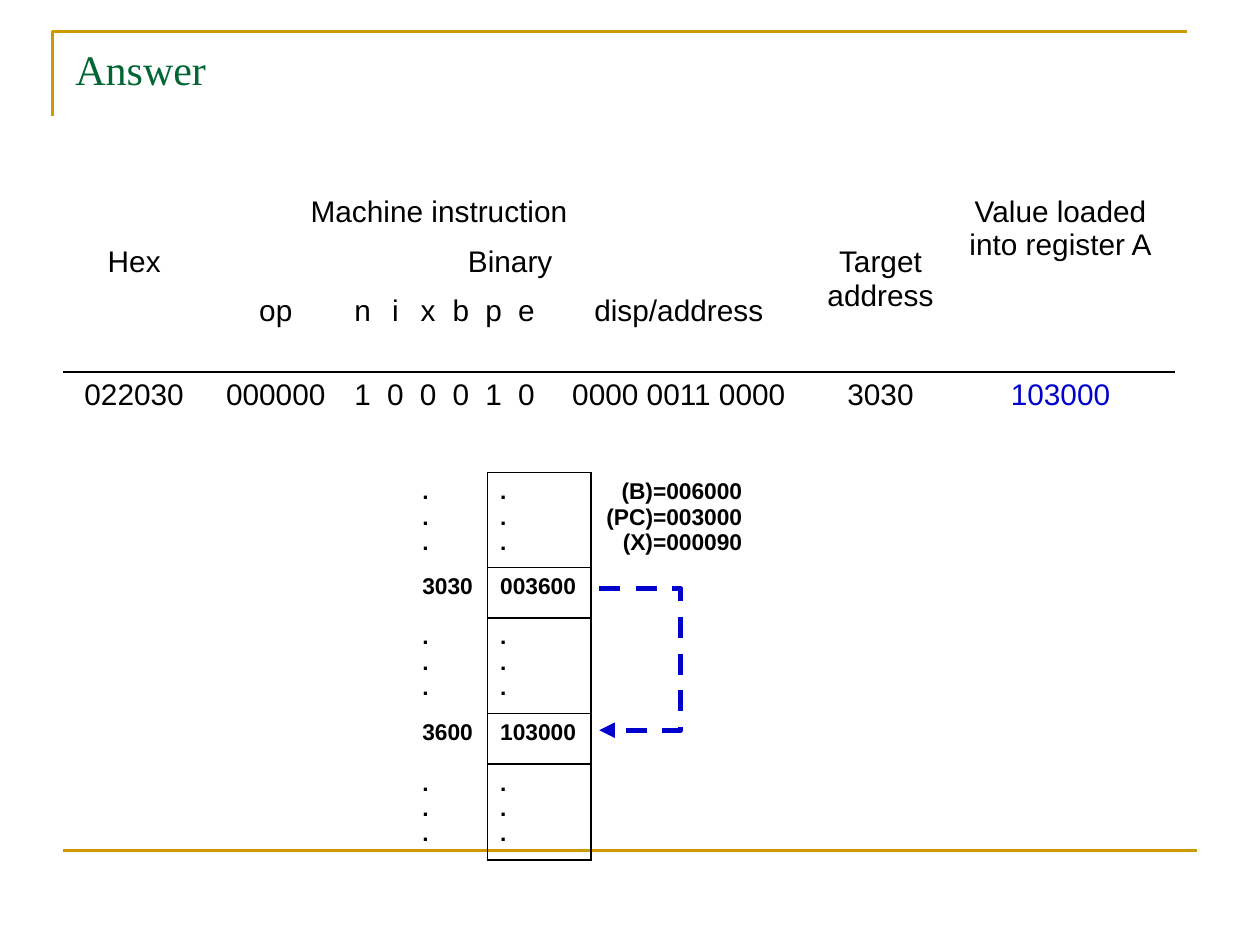
from typing import NamedTuple

from lxml import etree
from pptx import Presentation
from pptx.dml.color import RGBColor
from pptx.enum import dml, shapes, text
from pptx.oxml import ns
from pptx.util import Cm, Pt

GOLD = RGBColor(0xCC, 0x99, 0x00)
GREEN = RGBColor(0x00, 0x66, 0x33)
BLUE = RGBColor(0x00, 0x00, 0xCC)
BLACK = RGBColor(0x00, 0x00, 0x00)

PLAIN_TABLE_STYLE = "{2D5ABB26-0587-4C30-8999-92F81FD0307C}"
LEFT, CENTER, RIGHT = text.PP_ALIGN.LEFT, text.PP_ALIGN.CENTER, text.PP_ALIGN.RIGHT
DOTS = ".\n.\n."


class Entry(NamedTuple):
    row: int
    column: int
    words: str
    row_span: int = 1
    column_span: int = 1
    color: RGBColor = BLACK
    align: text.PP_ALIGN = CENTER


class Grid(NamedTuple):
    left: float
    top: float
    widths: list[float]
    heights: list[float]


def apply(target, values: dict) -> None:
    for name, value in values.items():
        setattr(target, name, value)


def add_xml(parent, tag: str, **attributes: str):
    return etree.SubElement(parent, ns.qn(tag), attributes)


def write(frame, words: str, color: RGBColor, align, font: dict) -> None:
    for index, line in enumerate(words.split("\n")):
        para = frame.add_paragraph() if index else frame.paragraphs[0]
        para.alignment = align
        span = para.add_run()
        span.text = line
        apply(span.font, font)
        span.font.color.rgb = color


def style_line(shape, color: RGBColor, width: float) -> None:
    shape.line.color.rgb = color
    shape.line.width = Pt(width)


def add_line(page, kind, start: tuple, end: tuple, color: RGBColor, width: float):
    points = [Cm(value) for value in (*start, *end)]
    line = page.shapes.add_connector(kind, *points)
    style_line(line, color, width)
    add_xml(line.element.spPr, "a:effectLst")
    return line


def add_grid(page, grid: Grid):
    frame = page.shapes.add_table(
        len(grid.heights), len(grid.widths), Cm(grid.left), Cm(grid.top),
        Cm(sum(grid.widths)), Cm(sum(grid.heights)))
    table = frame.table
    apply(table, {"first_row": False, "horz_banding": False})
    table._tbl.tblPr.find(ns.qn("a:tableStyleId")).text = PLAIN_TABLE_STYLE
    for column, width in zip(table.columns, grid.widths):
        column.width = Cm(width)
    for row, height in zip(table.rows, grid.heights):
        row.height = Cm(height)
    return table


def border(cell, sides: str, width: float = 1) -> None:
    for side in sides:
        edge = add_xml(cell._tc.get_or_add_tcPr(), f"a:ln{side}", w=str(Pt(width)))
        fill = add_xml(edge, "a:solidFill")
        add_xml(fill, "a:srgbClr", val=str(BLACK))


def fill_entries(table, entries: list[Entry], font: dict, margins: dict) -> None:
    for entry in entries:
        cell = table.cell(entry.row, entry.column)
        if entry.row_span > 1 or entry.column_span > 1:
            cell.merge(table.cell(entry.row + entry.row_span - 1,
                                  entry.column + entry.column_span - 1))
        apply(cell, margins)
        write(cell.text_frame, entry.words, entry.color, entry.align, font)


def clear_fills(table) -> None:
    for cell in table.iter_cells():
        cell.fill.background()


deck = Presentation()
apply(deck, {"slide_width": Cm(25.4), "slide_height": Cm(19.05)})
page = deck.slides.add_slide(deck.slide_layouts[6])

# Gold frame lines
builder = page.shapes.build_freeform(Cm(1.06), Cm(2.34))
builder.add_line_segments([(Cm(1.06), Cm(0.64)), (Cm(23.92), Cm(0.64))], close=False)
corner = builder.convert_to_shape()
corner.shadow.inherit = False
corner.fill.background()
style_line(corner, GOLD, 1.5)
add_line(page, shapes.MSO_CONNECTOR.STRAIGHT, (1.27, 17.15), (24.13, 17.15), GOLD, 1.5)

# Title
title = page.shapes.add_textbox(Cm(1.27), Cm(0.76), Cm(22.86), Cm(3.18))
title.text_frame.word_wrap = True
write(title.text_frame, "Answer", GREEN, LEFT,
      {"name": "Times New Roman", "size": Pt(24)})

# Instruction table
BITS = {"n": "1", "i": "0", "x": "0", "b": "0", "p": "1", "e": "0"}
instruction = add_grid(page, Grid(
    1.27, 3.81, [2.87, 2.84] + [0.66] * len(BITS) + [5.49, 2.64, 4.62],
    [0.94, 0.94, 1.6, 0.94]))
labels = ["op", *BITS, "disp/address"]
values = ["022030", "000000", *BITS.values(), "0000 0011 0000", "3030"]
entries = [
    Entry(0, 0, "Machine instruction", column_span=9),
    Entry(0, 10, "Value loaded into register A", row_span=3),
    Entry(1, 0, "Hex"),
    Entry(1, 1, "Binary", column_span=8),
    Entry(1, 9, "Target address", row_span=2),
    *(Entry(2, column, label) for column, label in enumerate(labels, 1)),
    *(Entry(3, column, value) for column, value in enumerate(values)),
    Entry(3, 10, "103000", color=BLUE),
]
fill_entries(instruction, entries, {"name": "Arial", "size": Pt(17)},
             {"margin_left": Cm(0.05), "margin_right": Cm(0.05)})
for column in range(len(instruction.columns)):
    border(instruction.cell(2, column), "B")
    border(instruction.cell(3, column), "T")
clear_fills(instruction)

# Memory table
memory = add_grid(page, Grid(8.26, 9.53, [1.57, 2.08, 3.3],
                             [1.91, 0.81, 1.93, 0.81, 1.93]))
contents = [(DOTS, DOTS), ("3030", "003600"), (DOTS, DOTS),
            ("3600", "103000"), (DOTS, DOTS)]
entries = [Entry(row, column, words, align=LEFT)
           for row, pair in enumerate(contents) for column, words in enumerate(pair)]
entries.append(Entry(0, 2, "(B)=006000\n(PC)=003000\n(X)=000090", align=RIGHT))
fill_entries(memory, entries, {"name": "Arial", "size": Pt(13), "bold": True}, {})
for row in range(len(contents)):
    border(memory.cell(row, 0), "R")
    border(memory.cell(row, 1), "LRTB")
    border(memory.cell(row, 2), "L")
clear_fills(memory)

# Dashed pointer from address 3030 to 3600
REACH, SPREAD = 1.65, 0.01
pointer = add_line(page, shapes.MSO_CONNECTOR.ELBOW, (12.07, 11.86),
                   (12.07 + SPREAD, 14.72), BLUE, 3)
pointer.line.dash_style = dml.MSO_LINE.DASH
add_xml(pointer.line._get_or_add_ln(), "a:tailEnd", type="triangle")
bend = pointer.element.spPr.find(ns.qn("a:prstGeom")).find(ns.qn("a:avLst"))
add_xml(bend, "a:gd", name="adj1", fmla=f"val {round(REACH / SPREAD * 100000)}")

deck.save("out.pptx")
